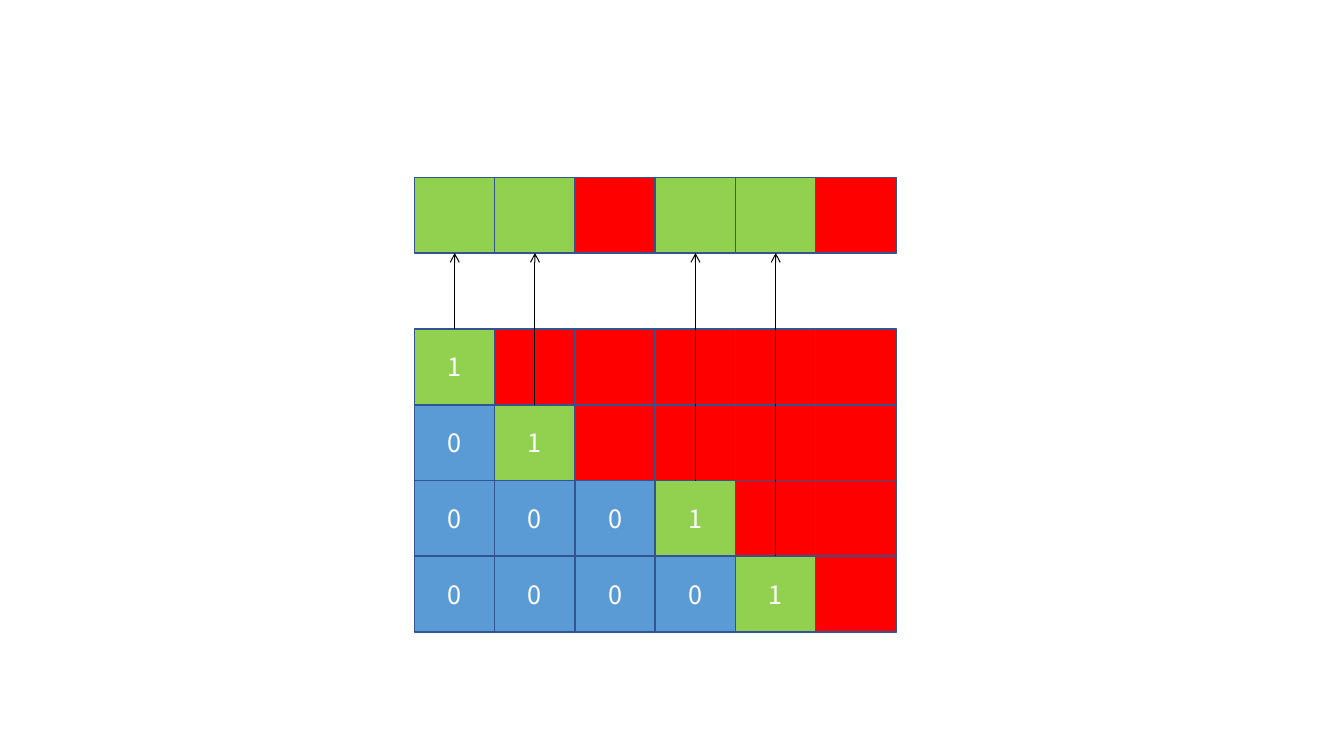
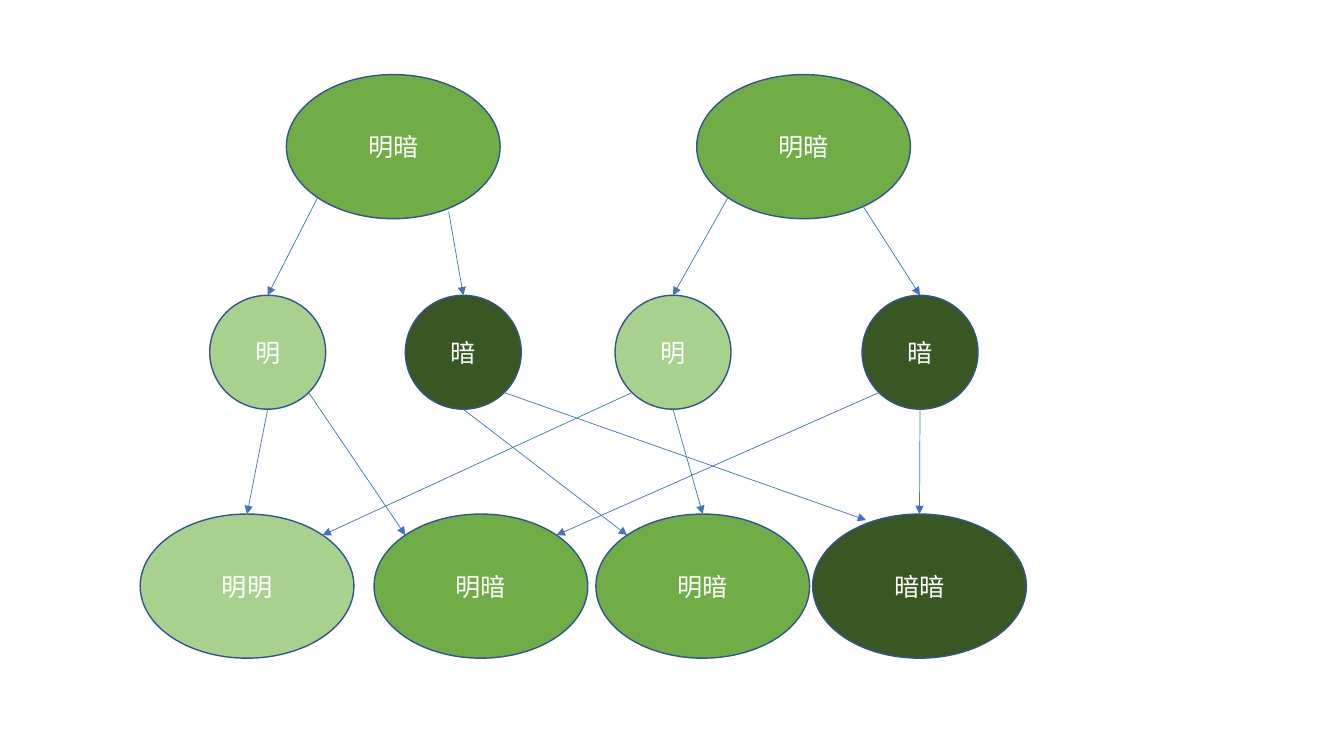
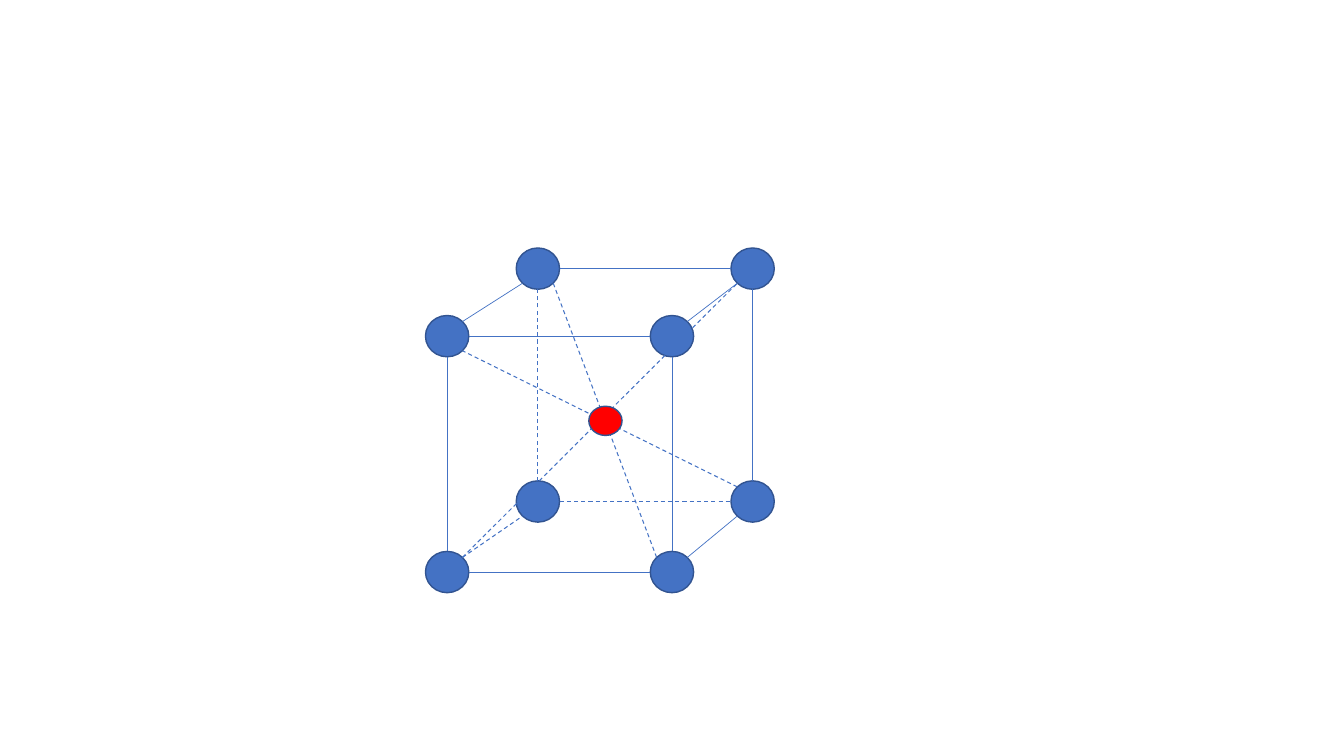
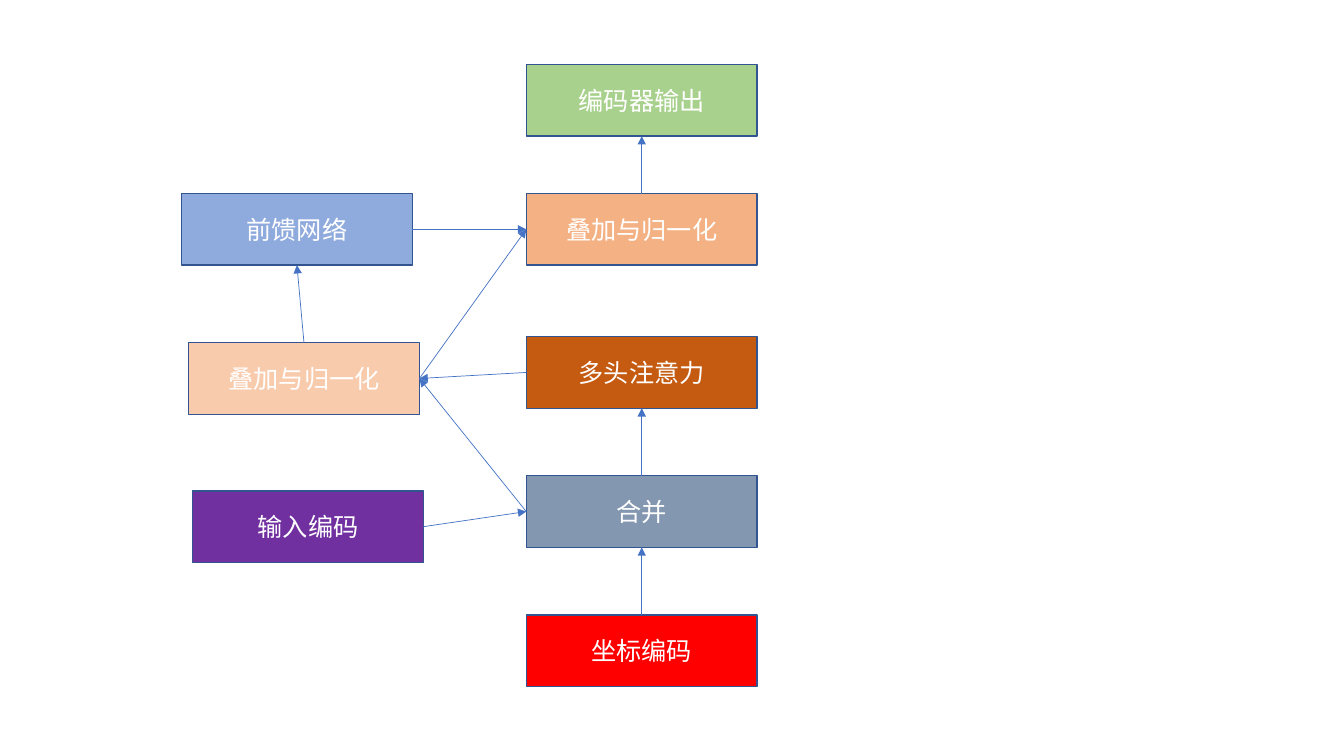
from itertools import product
from math import sqrt

from lxml.etree import SubElement
from pptx import Presentation
from pptx.dml.color import RGBColor
from pptx.enum.dml import MSO_LINE as Dash
from pptx.enum.shapes import MSO_CONNECTOR as Conn, MSO_SHAPE as Kind
from pptx.enum.text import MSO_ANCHOR as Anchor, PP_ALIGN as Align
from pptx.oxml.ns import qn
from pptx.util import Inches, Pt

RED, GREEN, BLUE, SKY = "FF0000", "92D050", "4472C4", "5B9BD5"
LIGHT, MID, DARK = "A9D18E", "70AD47", "385723"
EDGE, WHITE, BLACK = "325491", "FFFFFF", "000000"


def tint(code):
    return RGBColor.from_string(code)


def site(shape, side):
    """Point on the outline in a compass direction such as "n" or "sw"."""
    dx = ("e" in side) - ("w" in side)
    dy = ("s" in side) - ("n" in side)
    size = sqrt(dx * dx + dy * dy)
    return (int(shape.left + shape.width * (1 + dx / size) / 2),
            int(shape.top + shape.height * (1 + dy / size) / 2))


class Deck:
    face = "Noto Sans CJK SC"
    font = {"name": face, "size": Pt(18)}

    def __init__(self):
        self.show = Presentation()
        self.show.slide_width = Inches(13.33)
        self.show.slide_height = Inches(7.5)

    def page(self):
        self.slide = self.show.slides.add_slide(self.show.slide_layouts[6])

    def box(self, x, y, w, h, fill, text="", kind=Kind.RECTANGLE):
        place = [Inches(v) for v in (x, y, w, h)]
        shape = self.slide.shapes.add_shape(kind, *place)
        shape.shadow.inherit = False
        shape.fill.solid()
        shape.fill.fore_color.rgb = tint(fill)
        shape.line.color.rgb = tint(EDGE)
        shape.line.width = Pt(1)
        if text:
            self.label(shape.text_frame, text)
        return shape

    def oval(self, x, y, w, h, fill, text=""):
        return self.box(x, y, w, h, fill, text, Kind.OVAL)

    def label(self, frame, text):
        frame.vertical_anchor = Anchor.MIDDLE
        para = frame.paragraphs[0]
        para.alignment = Align.CENTER
        run = para.add_run()
        run.text = text
        for key, value in self.font.items():
            setattr(run.font, key, value)
        run.font.color.rgb = tint(WHITE)
        SubElement(run.font._element, qn("a:ea"), typeface=self.face)

    def line(self, start, end, head="", color=BLUE, width=0.5, dash=False):
        line = self.slide.shapes.add_connector(Conn.STRAIGHT, *start, *end)
        line.line.color.rgb = tint(color)
        line.line.width = Pt(width)
        if dash:
            line.line.dash_style = Dash.DASH
        if head:
            SubElement(line.line._get_or_add_ln(), qn("a:tailEnd"), type=head)
        SubElement(line._element.spPr, qn("a:effectLst"))
        return line

    def link(self, a, out, b, into, **style):
        """Join two shapes; rectangles are glued so the line follows them."""
        line = self.line(site(a, out), site(b, into), **style)
        if a.auto_shape_type == b.auto_shape_type == Kind.RECTANGLE:
            line.begin_connect(a, "nwse".index(out))
            line.end_connect(b, "nwse".index(into))


def draw_grid(deck):
    deck.page()
    pivots = [0, 1, 3, 4]

    def cell(row, col, fill, text=""):
        x, y = 4.11 + 3.98 * col / 5, 1.76 + 3.76 * row / 5
        return deck.box(x, y, 0.8, 0.75, fill, text)

    tops = [cell(0, col, GREEN if col in pivots else RED) for col in range(6)]
    ones = []
    for row, pivot in enumerate(pivots, 2):
        for col in range(6):
            if col < pivot:
                cell(row, col, SKY, "0")
            elif col > pivot:
                cell(row, col, RED)
            else:
                ones.append(cell(row, col, GREEN, "1"))
    for pivot, one in zip(pivots, ones):
        deck.link(one, "n", tops[pivot], "s",
                  head="arrow", color=BLACK, width=0.75)


def draw_tree(deck):
    deck.page()
    fills = {"明": LIGHT, "暗": DARK, "明明": LIGHT, "明暗": MID, "暗暗": DARK}

    def rank(y, w, h, items):
        return [deck.oval(x, y, w, h, fills[text], text) for x, text in items]

    olds = rank(0.74, 2.12, 1.43, [(2.84, "明暗"), (6.91, "明暗")])
    genes = rank(2.93, 1.15, 1.13,
                 [(2.08, "明"), (4.02, "暗"), (6.1, "明"), (8.55, "暗")])
    kids = rank(5.1, 2.12, 1.43, [(1.39, "明明"), (3.71, "明暗"),
                                  (5.91, "明暗"), (8.06, "暗暗")])
    for a, out, b, into in [
        (olds[0], "sw", genes[0], "n"), (olds[1], "sw", genes[2], "n"),
        (genes[0], "s", kids[0], "n"), (genes[0], "se", kids[1], "nw"),
        (genes[1], "s", kids[2], "nw"), (genes[2], "sw", kids[0], "ne"),
        (genes[2], "s", kids[2], "n"), (genes[3], "sw", kids[1], "ne"),
        (genes[3], "s", kids[3], "n"),
    ]:
        deck.link(a, out, b, into, head="triangle")
    for start, end in [
        ((Inches(4.45), Inches(2.1)), site(genes[1], "n")),
        ((Inches(8.55), Inches(2.03)), site(genes[3], "n")),
        (site(genes[1], "se"), (Inches(8.59), Inches(5.16))),
    ]:
        deck.line(start, end, head="triangle")


def draw_cube(deck):
    """Corner keys: front or rear, top or bottom, left or right."""
    deck.page()
    xs = {"fl": 4.22, "fr": 6.45, "rl": 5.12, "rr": 7.25}
    ys = {"ft": 3.13, "fb": 5.47, "rt": 2.46, "rb": 4.77}
    nodes = {d + v + h: deck.oval(xs[d + h], ys[d + v], 0.43, 0.41, BLUE)
             for d, v, h in product("fr", "tb", "lr")}
    edges = [(d + v + "l", "e", d + v + "r", "w")
             for d, v in product("fr", "tb")]
    edges += [(d + "b" + h, "n", d + "t" + h, "s")
              for d, h in product("fr", "lr")]
    edges += [("f" + v + h, "ne", "r" + v + h, "sw")
              for v, h in product("tb", "lr")]
    cross = [("fbr", "nw", "rtl", "se"), ("fbl", "ne", "rtr", "sw"),
             ("rbr", "nw", "ftl", "se")]
    for edge in edges + cross:
        a, out, b, into = edge
        dash = edge in cross or "rbl" in (a, b)
        deck.link(nodes[a], out, nodes[b], into,
                  dash=dash, width=0.75 if dash else 0.5)
    deck.oval(5.84, 4.03, 0.33, 0.29, RED)


def draw_flow(deck):
    deck.page()
    steps = {
        "out": (5.22, 0.64, LIGHT, "编码器输出"),
        "norm": (5.22, 1.92, "F4B183", "叠加与归一化"),
        "heads": (5.22, 3.34, "C55A11", "多头注意力"),
        "merge": (5.22, 4.72, "8497B0", "合并"),
        "place": (5.22, 6.1, RED, "坐标编码"),
        "feed": (1.8, 1.92, "8FAADC", "前馈网络"),
        "add": (1.87, 3.4, "F8CBAD", "叠加与归一化"),
        "input": (1.91, 4.87, "7030A0", "输入编码"),
    }
    boxes = {key: deck.box(x, y, 2.29, 0.71, fill, text)
             for key, (x, y, fill, text) in steps.items()}
    for a, out, b, into in [
        ("norm", "n", "out", "s"), ("feed", "e", "norm", "w"),
        ("add", "n", "feed", "s"), ("add", "e", "norm", "w"),
        ("heads", "w", "add", "e"), ("merge", "n", "heads", "s"),
        ("place", "n", "merge", "s"), ("input", "e", "merge", "w"),
        ("merge", "w", "add", "e"),
    ]:
        deck.link(boxes[a], out, boxes[b], into, head="triangle")


def main():
    deck = Deck()
    for draw in (draw_grid, draw_tree, draw_cube, draw_flow):
        draw(deck)
    deck.show.save("out.pptx")


if __name__ == "__main__":
    main()
